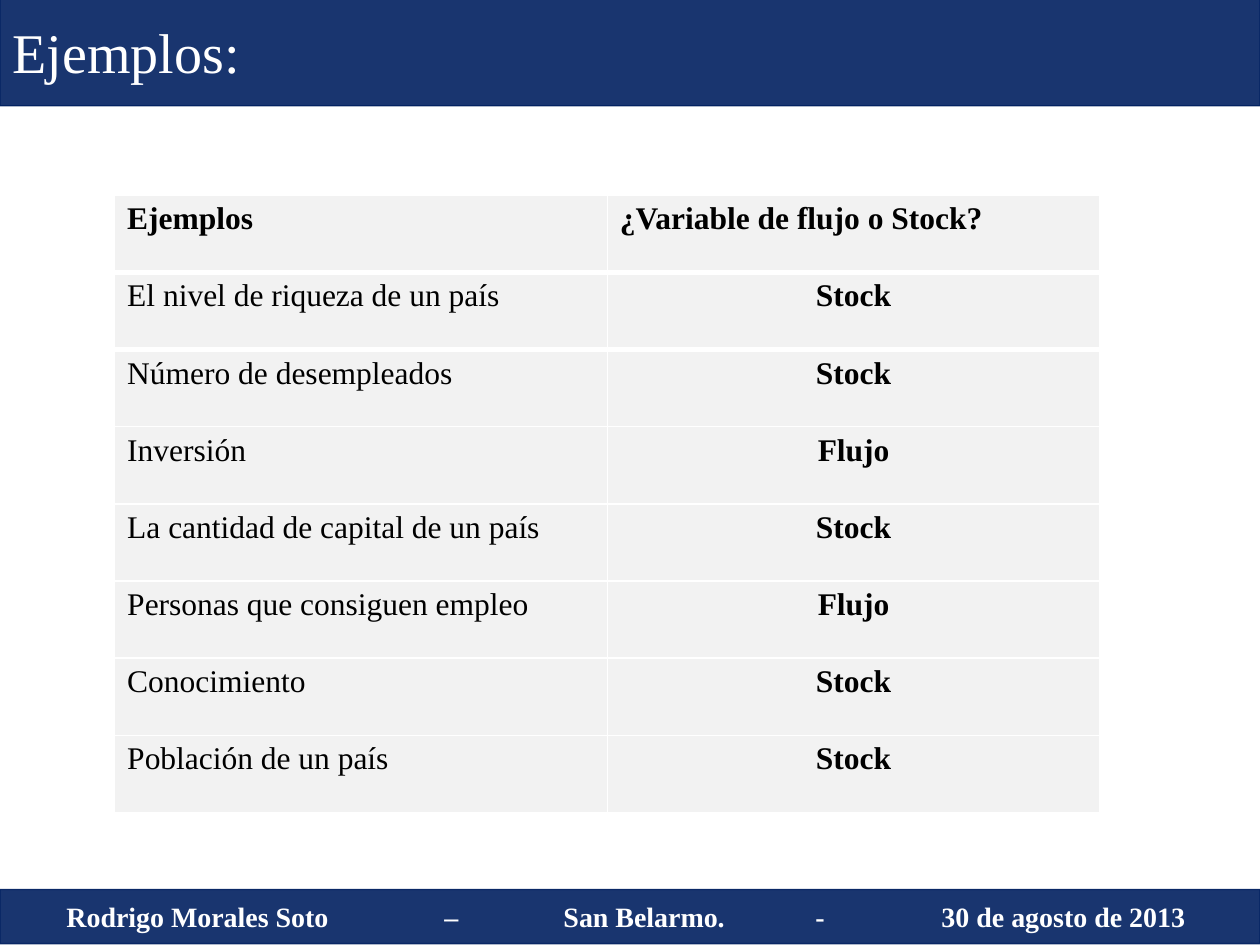
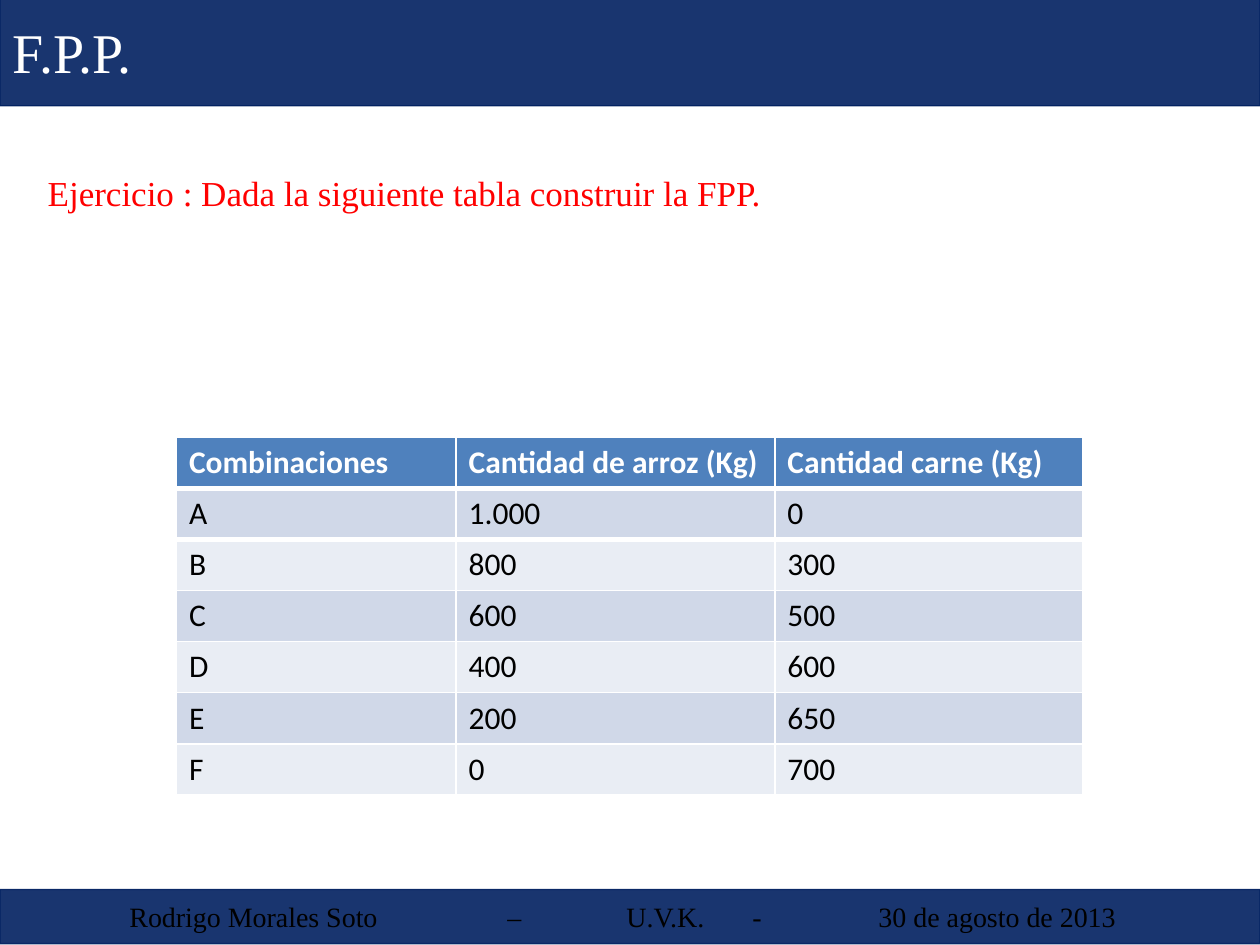
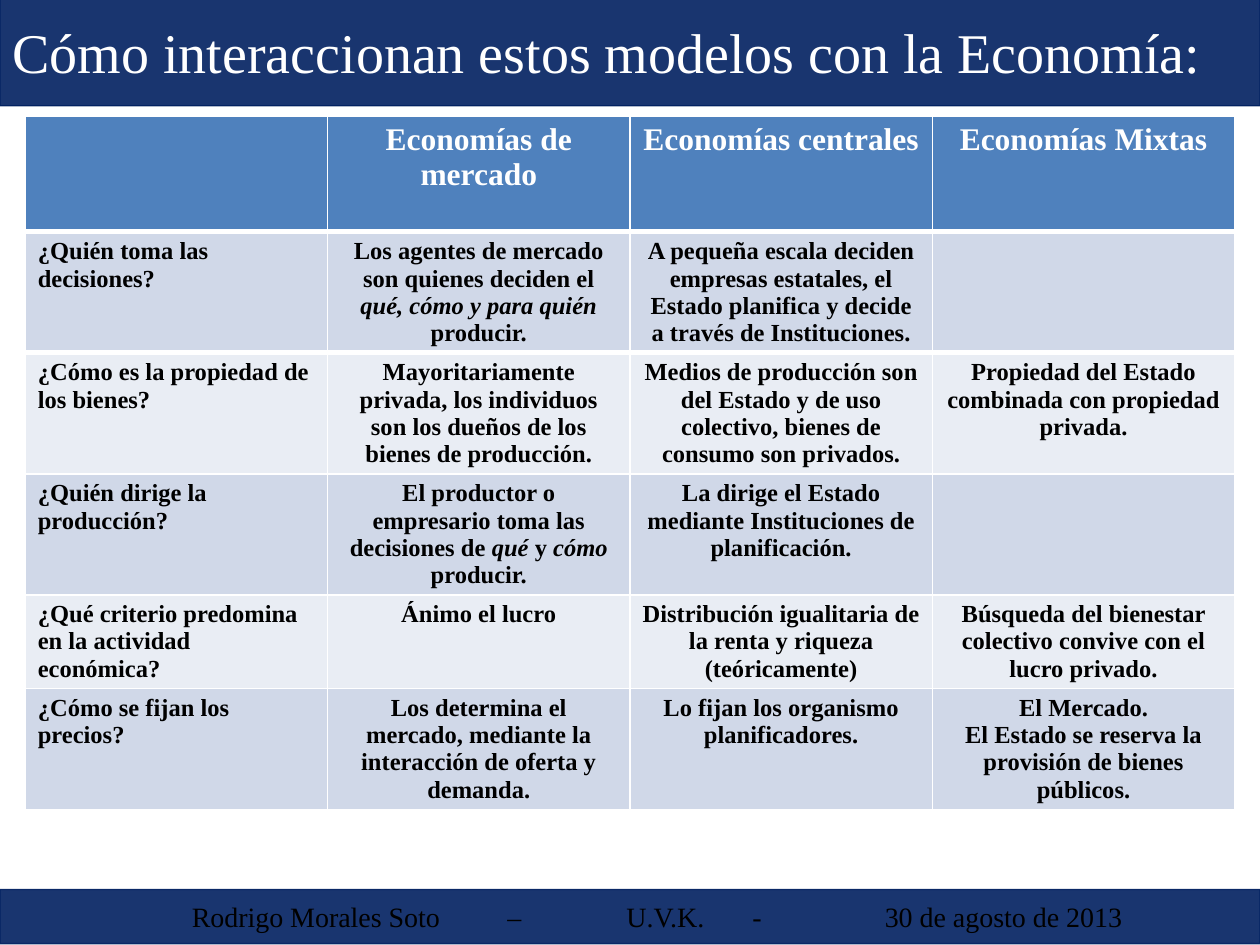
"""Build three economics slides with shared title and footer bands and one table each."""
import pptx
import pptx.dml.color
import pptx.enum.shapes
import pptx.enum.text
import pptx.oxml
import pptx.oxml.ns
import pptx.util
from lxml import etree

Inches, Pt = pptx.util.Inches, pptx.util.Pt
RGBColor = pptx.dml.color.RGBColor
PP_ALIGN = pptx.enum.text.PP_ALIGN
qn = pptx.oxml.ns.qn

NAVY = RGBColor(0x00, 0x20, 0x60)
BLUE = RGBColor(0x4F, 0x81, 0xBD)
BAND_DARK = RGBColor(0xD0, 0xD8, 0xE8)
BAND_LIGHT = RGBColor(0xE9, 0xED, 0xF4)
GRAY = RGBColor(0xF2, 0xF2, 0xF2)
WHITE = RGBColor(0xFF, 0xFF, 0xFF)
BLACK = RGBColor(0x00, 0x00, 0x00)
RED = RGBColor(0xFF, 0x00, 0x00)
SERIF, SANS = "Times New Roman", "Calibri"
LEFT, CENTER, JUSTIFY = PP_ALIGN.LEFT, PP_ALIGN.CENTER, PP_ALIGN.JUSTIFY

W, H = 10, 7.5
TITLE_BAND = (0, -0.03, W, 0.87)
FOOTER_BAND = (0, 7.06, W, 0.43)

BLUE_STYLE = {"head_fill": BLUE, "head_color": WHITE, "bands": (BAND_DARK, BAND_LIGHT)}
GRAY_STYLE = {"head_fill": GRAY, "head_color": BLACK, "bands": (GRAY, GRAY)}

SLIDES = [
    {
        "title": "Ejemplos:",
        "footer": " Rodrigo Morales Soto\t – \tSan Belarmo. \t-\t30 de agosto de 2013\t ",
        "stops": (3, 4, 6, 7, 9), "footer_color": WHITE, "footer_bold": True,
        "table": {
            **GRAY_STYLE, "at": (0.91, 1.55, 7.82, 4.9), "font": SERIF, "size": 18,
            "cols": (3.91, 3.91),
            "head_align": (LEFT, LEFT), "align": (LEFT, CENTER), "bold": (False, True),
            "rows": [
                ("Ejemplos", "¿Variable de flujo o Stock?"),
                ("El nivel de riqueza de un país", "Stock"),
                ("Número de desempleados", "Stock"),
                ("Inversión", "Flujo"),
                ("La cantidad de capital de un país", "Stock"),
                ("Personas que consiguen empleo", "Flujo"),
                ("Conocimiento", "Stock"),
                ("Población de un país", "Stock"),
            ],
        },
    },
    {
        "title": "F.P.P.",
        "footer": " Rodrigo Morales Soto\t – \tU.V.K. \t-\t30 de agosto de 2013\t ",
        "stops": (3, 4, 5, 6, 8), "footer_color": BLACK, "footer_bold": False,
        "exercise": "Ejercicio : Dada la siguiente tabla construir la FPP.",
        "table": {
            **BLUE_STYLE, "at": (1.4, 3.47, 7.19, 2.84), "font": SANS, "size": 18,
            "cols": (2.22, 2.53, 2.44),
            "head_align": (LEFT,) * 3, "align": (LEFT,) * 3, "bold": (False,) * 3,
            "rows": [
                ("Combinaciones", "Cantidad de arroz (Kg)", "Cantidad carne (Kg)"),
                ("A", "1.000", "0"),
                ("B", "800", "300"),
                ("C", "600", "500"),
                ("D", "400", "600"),
                ("E", "200", "650"),
                ("F", "0", "700"),
            ],
        },
    },
    {
        "title": "Cómo interaccionan estos modelos con la Economía:",
        "footer": "\tRodrigo Morales Soto\t – \tU.V.K. \t-\t30 de agosto de 2013\t ",
        "stops": (0.55, 3, 4, 5, 6.05, 8), "footer_color": BLACK, "footer_bold": False,
        "table": {
            **BLUE_STYLE, "at": (0.2, 0.92, 9.61, 5.62), "font": SERIF, "size": 14,
            "cols": (2.4,) * 4, "row_heights": (0.92, 0.53),
            "head_align": (CENTER,) * 4, "align": (LEFT, CENTER, CENTER, CENTER),
            "bold": (True,) * 4,
            "rows": [
                ("", "Economías de mercado", "Economías centrales", "Economías Mixtas"),
                ("¿Quién toma las decisiones?",
                 "Los agentes de mercado son quienes deciden el *qué, cómo y para quién* producir.",
                 "A pequeña escala deciden empresas estatales, el Estado planifica y decide "
                 "a través de Instituciones.",
                 ""),
                ("¿Cómo es la propiedad de los bienes?",
                 "Mayoritariamente privada, los individuos son los dueños de los bienes de producción.",
                 "Medios de producción son del Estado y de uso colectivo, bienes de consumo "
                 "son privados.",
                 "Propiedad del Estado combinada con propiedad privada."),
                ("¿Quién dirige la producción?",
                 "El productor o empresario toma las decisiones de *qué* y *cómo* producir.",
                 "La dirige el Estado mediante Instituciones de planificación.",
                 ""),
                ("¿Qué criterio predomina en la actividad económica?",
                 "Ánimo el lucro",
                 "Distribución igualitaria de la renta y riqueza (teóricamente)",
                 "Búsqueda del bienestar colectivo convive con el lucro privado."),
                ("¿Cómo se fijan los precios?",
                 "Los determina el mercado, mediante la interacción de oferta y demanda.",
                 "Lo fijan los organismo planificadores.",
                 "El Mercado.\nEl Estado se reserva la provisión de bienes públicos."),
            ],
        },
    },
]


def write(tf, text, font, size, color, bold=False, align=LEFT):
    """Fill a text frame; newlines split paragraphs and asterisks mark italics."""
    for i, line in enumerate(text.split("\n")):
        p = tf.add_paragraph() if i else tf.paragraphs[0]
        p.alignment = align
        p.font.name, p.font.size, p.font.bold = font, Pt(size), bold
        p.font.color.rgb = color
        for j, part in enumerate(line.split("*")):
            if part:
                r = p.add_run()
                r.text = part
                if j % 2:
                    r.font.italic = True


def style_band(sp):
    """Give a shape the translucent navy look of the bands."""
    sp.fill.solid()
    sp.fill.fore_color.rgb = NAVY
    sp.line.color.rgb = NAVY
    sp.line.width = Pt(0.75)
    for clr in sp._element.spPr.iter(qn("a:srgbClr")):
        etree.SubElement(clr, qn("a:alpha"), val="90000")
    tf = sp.text_frame
    tf.word_wrap = True
    tf.auto_size = pptx.enum.text.MSO_AUTO_SIZE.NONE
    tf.vertical_anchor = pptx.enum.text.MSO_ANCHOR.MIDDLE
    return tf


def add_footer(s, data):
    """Add the footer band with its tab stops."""
    sp = s.shapes.add_shape(pptx.enum.shapes.MSO_SHAPE.RECTANGLE, *map(Inches, FOOTER_BAND))
    sp.shadow.inherit = False
    tf = style_band(sp)
    write(tf, data["footer"], SERIF, 16, data["footer_color"], data["footer_bold"], CENTER)
    pPr = tf.paragraphs[0]._p.get_or_add_pPr()
    tabs = etree.Element(qn("a:tabLst"))
    for stop in data["stops"]:
        etree.SubElement(tabs, qn("a:tab"), pos=str(Inches(stop)), algn="l")
    pPr.insert(0, tabs)


def add_title(s, text):
    """Turn the title placeholder into the top band."""
    sp = s.shapes.title
    sp.left, sp.top, sp.width, sp.height = map(Inches, TITLE_BAND)
    write(style_band(sp), text, SERIF, 32, WHITE, align=JUSTIFY)


def add_exercise(s, text):
    """Add the red exercise statement."""
    tf = s.shapes.add_textbox(*map(Inches, (0.28, 1.31, 9.45, 2.12))).text_frame
    tf.word_wrap = True
    write(tf, text, SERIF, 20, RED, align=JUSTIFY)


def add_rule(cell, side):
    """Draw a thick white border on one side of a cell."""
    ln = etree.Element(qn(f"a:{side}"), w=str(Pt(3)))
    fill = etree.SubElement(ln, qn("a:solidFill"))
    etree.SubElement(fill, qn("a:srgbClr"), val=str(WHITE))
    cell._tc.get_or_add_tcPr().insert(0, ln)


def add_table(s, t):
    """Add a table with one header row and banded body rows."""
    rows, height = t["rows"], t["at"][3]
    head_height, body_height = t.get("row_heights", (height / len(rows),) * 2)
    frame = s.shapes.add_table(len(rows), len(t["cols"]), *map(Inches, t["at"]))
    tbl = frame.table
    for col, width in zip(tbl.columns, t["cols"]):
        col.width = Inches(width)
    for i, row in enumerate(rows):
        head = i == 0
        tbl.rows[i].height = Inches(head_height if head else body_height)
        for j, text in enumerate(row):
            cell = tbl.cell(i, j)
            cell.fill.solid()
            cell.fill.fore_color.rgb = t["head_fill"] if head else t["bands"][(i - 1) % 2]
            if i < 2:
                add_rule(cell, "lnB" if head else "lnT")
            write(cell.text_frame, text, t["font"], 18 if head else t["size"],
                  t["head_color"] if head else BLACK, head or t["bold"][j],
                  t["head_align" if head else "align"][j])
    frame.height = Inches(height)


def main():
    """Build and save the presentation."""
    prs = pptx.Presentation()
    prs.slide_width, prs.slide_height = Inches(W), Inches(H)
    for data in SLIDES:
        s = prs.slides.add_slide(prs.slide_layouts[5])
        add_footer(s, data)
        add_title(s, data["title"])
        if "exercise" in data:
            add_exercise(s, data["exercise"])
        add_table(s, data["table"])
    prs.save("out.pptx")


if __name__ == "__main__":
    main()
